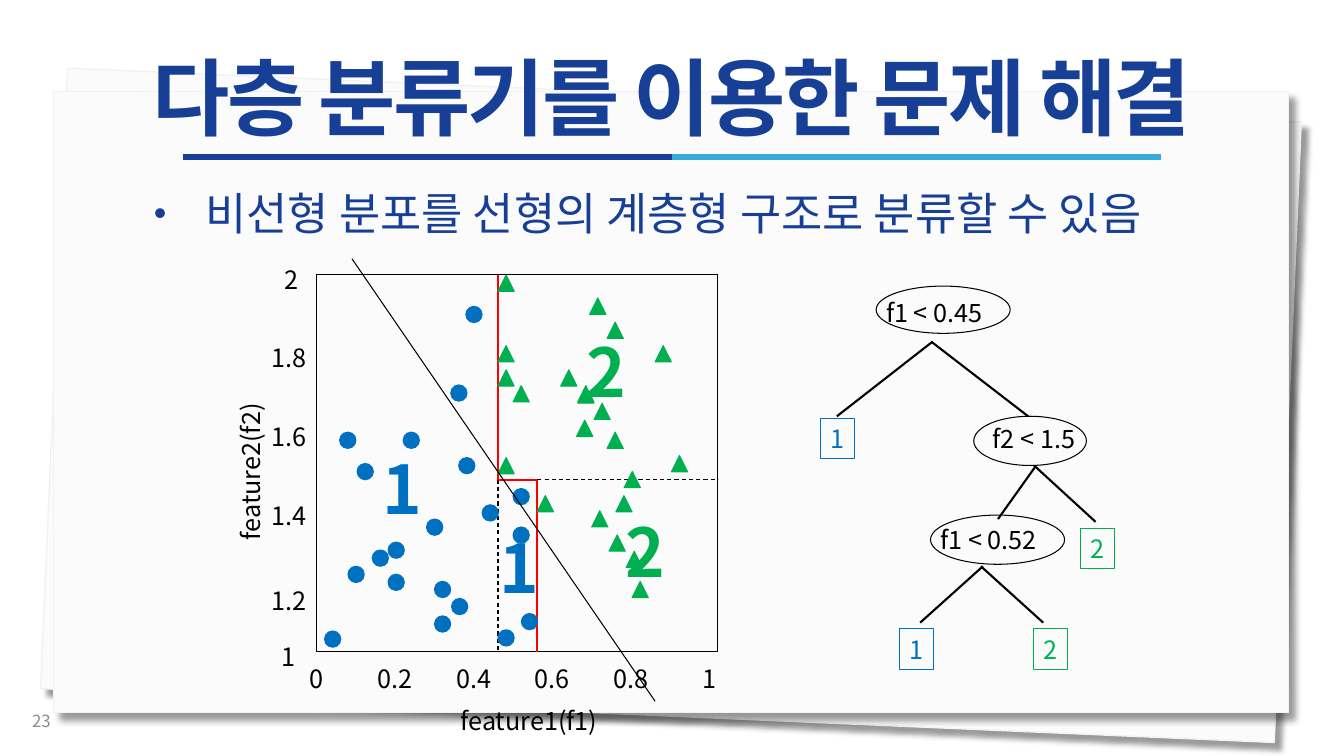
from lxml import etree
from pptx import Presentation
from pptx import util as u
from pptx.dml.color import RGBColor
from pptx.enum import dml, shapes, text
from pptx.oxml.ns import qn

FONT = "Noto Sans CJK KR"
NAVY, SKY, BLACK, RED = "173F95", "36AAD9", "000000", "FF0000"
CLASS_COLORS = {"1": "0070C0", "2": "00B050"}
LEFT, CENTER, RIGHT = text.PP_ALIGN.LEFT, text.PP_ALIGN.CENTER, text.PP_ALIGN.RIGHT
MARK = 0.41
LABEL_H = 1.02

# Corner of each mark, in cm from the top left of the plot
CLASS_1 = [(0.58, 3.96), (1.02, 4.75), (3.76, 0.79), (3.38, 2.77), (4.95, 5.38),
           (4.95, 6.35), (5.16, 8.53), (4.57, 8.94), (2.97, 7.72), (3.4, 8.15),
           (2.97, 8.59), (0.2, 8.97), (0.79, 7.34), (1.4, 6.93), (1.8, 7.54),
           (1.8, 6.73), (2.77, 6.15), (2.18, 3.96), (4.17, 5.79), (3.58, 4.6)]
CLASS_2 = [(4.57, 0), (4.57, 4.6), (5.56, 5.56), (4.57, 2.39), (4.95, 2.79),
           (4.57, 1.78), (6.15, 2.39), (6.58, 2.82), (6.58, 2.79), (6.99, 3.23),
           (6.55, 3.66), (6.88, 0.58), (7.32, 1.19), (8.53, 1.78), (7.32, 3.96),
           (8.94, 4.55), (7.75, 4.95), (7.54, 5.56), (7.95, 7.72), (6.93, 5.94),
           (7.37, 6.55), (7.8, 6.96)]


def color(value):
    return RGBColor.from_string(value)


def apply(target, values):
    for name, value in values.items():
        setattr(target, name, value)


def write(shape, words, size=18, ink=BLACK, bold=False, align=LEFT, inset=0.25):
    """Puts one line of text, centred in height, into a shape."""
    frame = shape.text_frame
    apply(frame, {"word_wrap": True, "auto_size": text.MSO_AUTO_SIZE.NONE,
                  "vertical_anchor": text.MSO_ANCHOR.MIDDLE,
                  "margin_left": u.Cm(inset), "margin_right": u.Cm(inset),
                  "margin_top": 0, "margin_bottom": 0})
    line = frame.paragraphs[0]
    line.alignment = align
    run = line.add_run()
    run.text = words
    apply(run.font, {"name": FONT, "size": u.Pt(size), "bold": bold})
    run.font.color.rgb = color(ink)
    etree.SubElement(run.font._element, qn("a:ea"), typeface=FONT)
    return line


def label(slide, x, y, w, h, words, **style):
    box = slide.shapes.add_textbox(u.Cm(x), u.Cm(y), u.Cm(w), u.Cm(h))
    write(box, words, **style)
    return box


def outline(slide, kind, x, y, w, h, edge, fill=None, weight=0.75):
    shape = slide.shapes.add_shape(kind, u.Cm(x), u.Cm(y), u.Cm(w), u.Cm(h))
    shape.shadow.inherit = False
    if fill:
        shape.fill.solid()
        shape.fill.fore_color.rgb = color(fill)
    else:
        shape.fill.background()
    shape.line.color.rgb = color(edge)
    shape.line.width = u.Pt(weight)
    return shape


def rule(slide, x1, y1, x2, y2, ink=BLACK, weight=0.75, dash=None):
    line = slide.shapes.add_connector(shapes.MSO_CONNECTOR.STRAIGHT,
                                      u.Cm(x1), u.Cm(y1), u.Cm(x2), u.Cm(y2))
    line.line.color.rgb = color(ink)
    apply(line.line, {"width": u.Pt(weight), "dash_style": dash})
    etree.SubElement(line._element.spPr, qn("a:effectLst"))


def backdrop(slide, x, y, w, h):
    # Two sheets of paper, the lower one tilted
    for dy, tilt in ((0.08, 2.5), (0, 0)):
        sheet = outline(slide, shapes.MSO_SHAPE.RECTANGLE, x, y + dy, w, h,
                        "F2F2F2", "FBFBFB", 1)
        sheet.rotation = tilt
        effects = sheet._element.spPr.find(qn("a:effectLst"))
        shadow = etree.SubElement(effects, qn("a:outerShdw"), blurRad="50800",
                                  dist="88900", dir="2700000", algn="tl",
                                  rotWithShape="0")
        ink = etree.SubElement(shadow, qn("a:srgbClr"), val=BLACK)
        etree.SubElement(ink, qn("a:alpha"), val="40000")


def heading(slide, x, y, w, h):
    # Two-tone underline
    half = 12.33
    middle = x + w / 2
    for start, ink in ((middle - half, "163E94"), (middle, SKY)):
        rule(slide, start, y + 2.54, start + half, y + 2.54, ink, 4.5)
    # Title, brought in front of the paper
    title = slide.shapes.title
    title.element.getparent().append(title.element)
    apply(title, {"left": u.Cm(x), "top": u.Cm(y), "width": u.Cm(w), "height": u.Cm(h)})
    line = write(title, "다층 분류기를 이용한 문제 해결", size=60, ink=NAVY,
                 bold=True, align=CENTER)
    line.line_spacing = 0.9
    line.runs[0].font._element.set("spc", "-190")


def key_point(slide, x, y, w, h):
    box = label(slide, x, y, w, h, "비선형 분포를 선형의 계층형 구조로 분류할 수 있음",
                size=32, ink=NAVY)
    props = box.text_frame.paragraphs[0]._p.get_or_add_pPr()
    props.set("marL", str(u.Cm(1.35)))
    props.set("indent", str(-u.Cm(1.3)))
    etree.SubElement(props, qn("a:buSzPct"), val="80000")
    etree.SubElement(props, qn("a:buFont"), typeface="Arial")
    etree.SubElement(props, qn("a:buChar"), char="•")


def decision_tree(slide, x, y):
    # Branches
    for x1, y1, x2, y2 in ((2.82, 1.4, 0.41, 3.28), (2.79, 1.4, 5.23, 3.28),
                           (5.41, 4.55, 4.47, 5.87), (5.38, 4.52, 6.93, 5.94),
                           (4.09, 7.06, 2.51, 8.48), (4.04, 7.06, 5.61, 8.48)):
        rule(slide, x + x1, y + y1, x + x2, y + y2, weight=1.5)
    # Tests: ellipse, then the offset of its words
    for test, dx, dy, w, h, shift, drop in (
            ("f1 < 0.45", 1.4, 0, 3.38, 1.19, 0, 0.15),
            ("f2 < 1.5", 3.86, 3.28, 2.84, 1.24, 0.23, 0.05),
            ("f1 < 0.52", 2.77, 5.77, 3.38, 1.24, 0, 0.1)):
        outline(slide, shapes.MSO_SHAPE.OVAL, x + dx, y + dy, w, h, BLACK)
        label(slide, x + dx + shift, y + dy + drop, 3.38, LABEL_H, test)
    # Leaves
    for name, dx, dy in (("1", 0, 3.33), ("1", 1.98, 8.64),
                         ("2", 6.55, 6.1), ("2", 5.36, 8.64)):
        ink = CLASS_COLORS[name]
        leaf = outline(slide, shapes.MSO_SHAPE.RECTANGLE, x + dx, y + dy, 0.86, LABEL_H, ink)
        write(leaf, name, ink=ink, align=CENTER, inset=0)


def feature_plot(slide, x, y, w, h):
    outline(slide, shapes.MSO_SHAPE.RECTANGLE, x, y, w, h, BLACK)
    # Tick labels
    tick_w, step = 1.78, 1.98
    for i, tick in enumerate(("0", "0.2", "0.4", "0.6", "0.8", "1")):
        label(slide, x + i * step - tick_w / 2, y + 9.66, tick_w, LABEL_H, tick, align=CENTER)
    for tick, dx, dy in (("2", -0.2, -0.41), ("1.8", 0, 1.57), ("1.6", 0, 3.56),
                         ("1.4", 0, 5.56), ("1.2", 0, 7.7), ("1", -0.28, 9.09)):
        label(slide, x + dx - tick_w, y + dy, tick_w, LABEL_H, tick, align=RIGHT)
    # Axis names
    label(slide, x + 3.38, y + 10.72, 5.94, LABEL_H, "feature1(f1)")
    label(slide, x - 4.65, y + 3.45, 5.94, LABEL_H, "feature2(f2)").rotation = 270
    # Stepped boundary and its dashed extensions
    split_1, split_2, level = 4.57, 5.56, 5.16
    dash = dml.MSO_LINE.DASH
    rule(slide, x + split_2, y + level, x + w, y + level, dash=dash)
    rule(slide, x + split_1, y + level, x + split_1, y + h, dash=dash)
    for x1, y1, x2, y2 in ((split_1, level, split_1, 0), (split_2, h, split_2, level),
                           (split_2, level, split_1, level)):
        rule(slide, x + x1, y + y1, x + x2, y + y2, RED, 1.5)
    # Samples of both classes
    for name, kind, samples in (("1", shapes.MSO_SHAPE.OVAL, CLASS_1),
                                ("2", shapes.MSO_SHAPE.ISOSCELES_TRIANGLE, CLASS_2)):
        ink = CLASS_COLORS[name]
        for dx, dy in samples:
            outline(slide, kind, x + dx, y + dy, MARK, MARK, ink, ink)
    # Region names
    for name, dx, dy in (("1", 1.4, 4.24), ("1", 4.37, 6.22),
                         ("2", 6.55, 1.27), ("2", 7.54, 5.82)):
        label(slide, x + dx, y + dy, 1.6, 2.26, name, size=48,
              ink=CLASS_COLORS[name], bold=True)
    # Single linear boundary
    rule(slide, x + 0.89, y - 0.41, x + 8.53, y + 10.74)


def main():
    deck = Presentation()
    apply(deck, {"slide_width": u.Cm(33.87), "slide_height": u.Cm(19.05)})
    slide = deck.slides.add_slide(deck.slide_layouts[5])
    backdrop(slide, 1.35, 2.31, 31.12, 15.65)
    heading(slide, 0, 1.42, 33.87, 2.29)
    label(slide, 0.56, 17.65, 7.62, LABEL_H, "23", size=12, ink="8C8C8C")
    key_point(slide, 3.58, 4.55, 26.9, 1.63)
    decision_tree(slide, 20.68, 7.21)
    feature_plot(slide, 7.98, 6.93, 10.11, 9.5)
    deck.save("out.pptx")


if __name__ == "__main__":
    main()
